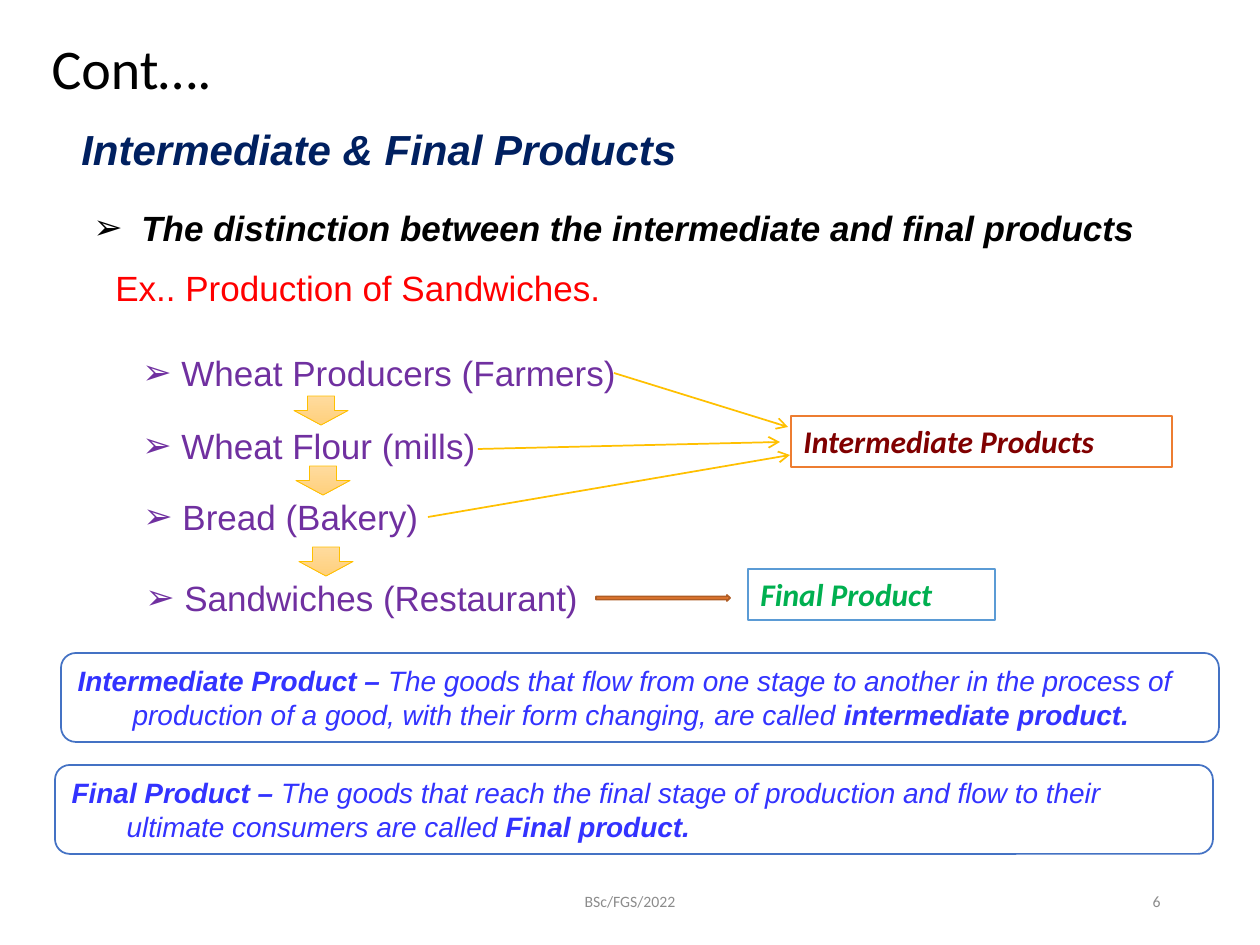
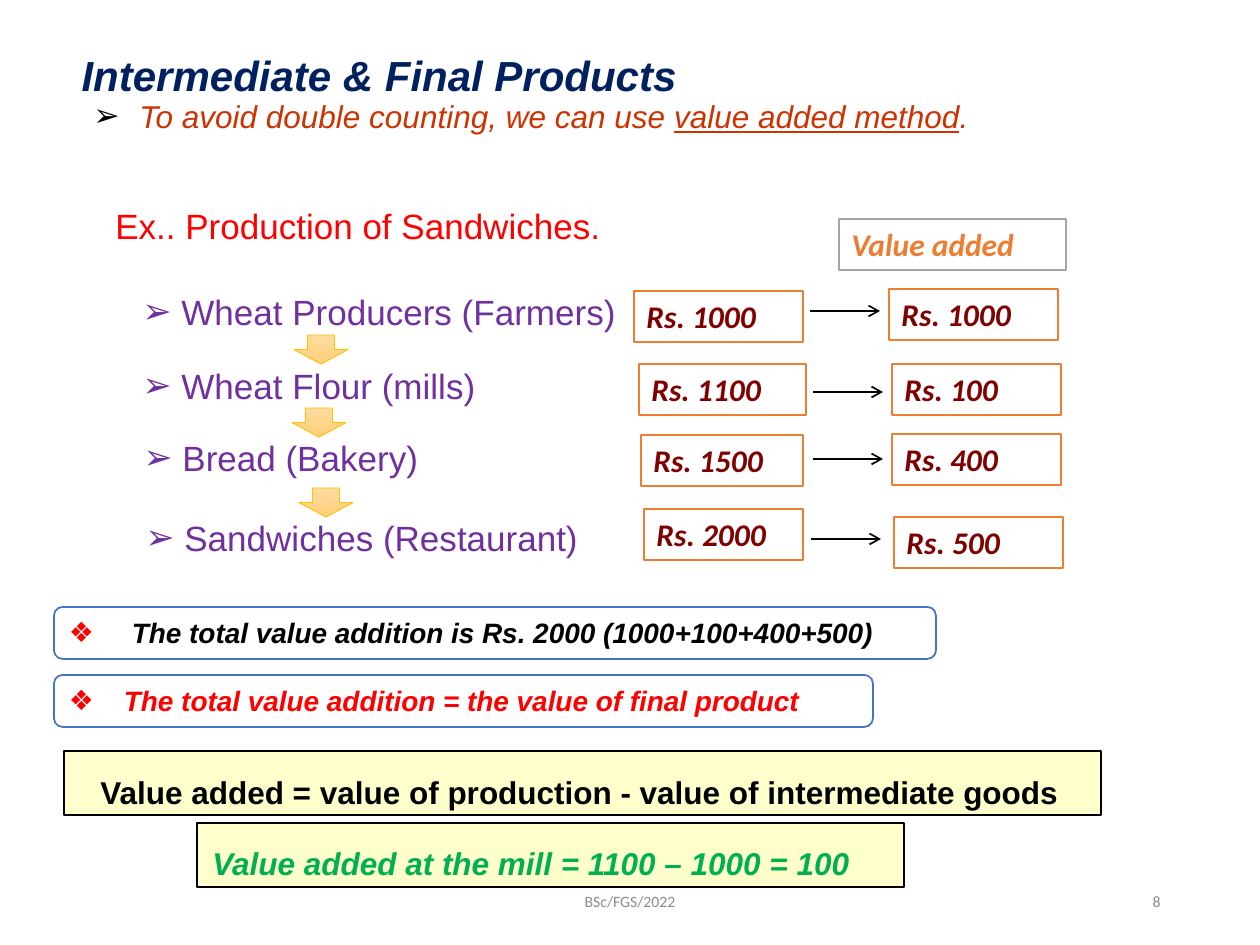
from dataclasses import dataclass
from typing import Any, NamedTuple, Optional

from lxml import etree
from pptx import Presentation
from pptx import util as u
from pptx.dml.color import RGBColor
from pptx.enum import shapes, text
from pptx.oxml import ns

PX_PER_INCH = 126
AL = text.PP_ALIGN
ANCHOR = text.MSO_ANCHOR
SHAPE = shapes.MSO_SHAPE


def px(n: int) -> u.Emu:
    return u.Emu(round(n * 914400 / PX_PER_INCH))


@dataclass(frozen=True)
class Theme:
    black: str = "000000"
    white: str = "FFFFFF"
    navy: str = "002060"
    red: str = "FF0000"
    purple: str = "7030A0"
    rust: str = "CC3300"
    maroon: str = "800000"
    green: str = "00B050"
    indigo: str = "3333FF"
    grey: str = "8C8C8C"
    silver: str = "A5A5A5"
    blue: str = "4472C4"
    sky: str = "5B9BD5"
    orange: str = "ED7D31"
    brown: str = "AF5C24"
    gold: str = "FFC000"
    gold_top: str = "FFDB9E"
    gold_bottom: str = "FFD07C"
    cream: str = "FFFFCC"
    title_size: int = 32
    heading_size: int = 24
    body_size: int = 20
    label_size: int = 18
    note_size: int = 16
    footer_size: int = 9
    body_font: str = "Arial"
    label_font: str = "Calibri"


T = Theme()


class Box(NamedTuple):
    x: int
    y: int
    w: int
    h: int


class Run(NamedTuple):
    text: str
    color: str
    bold: bool = False
    italic: bool = False
    underline: bool = False


@dataclass(frozen=True)
class Style:
    size: int
    font: str = T.body_font
    align: Any = AL.LEFT
    anchor: Any = ANCHOR.TOP
    bullet: str = ""
    bullet_color: str = T.black
    hang: int = 0
    spacing: Optional[float] = None


class Stage(NamedTuple):
    name: str
    x: int


class Sale(NamedTuple):
    price: str
    price_box: Box
    added: str
    added_box: Box
    arrow_x: int
    arrow_y: int


TITLE = Style(T.title_size, T.label_font, anchor=ANCHOR.MIDDLE, spacing=0.9)
HEADING = Style(T.heading_size)
EXAMPLE = Style(T.body_size, align=AL.JUSTIFY)
POINT = Style(T.body_size, align=AL.JUSTIFY, bullet="➢", hang=48)
SMALL_POINT = Style(T.label_size, align=AL.JUSTIFY, bullet="➢", hang=46)
STAGE = Style(T.body_size, align=AL.JUSTIFY, bullet="➢",
              bullet_color=T.purple, hang=39)
LABEL = Style(T.label_size, T.label_font, AL.JUSTIFY)
DEFINITION = Style(T.note_size, hang=55)
TOTAL = Style(T.note_size, bullet="❖", bullet_color=T.red, hang=63)
RESULT = Style(T.note_size, bullet="❖", bullet_color=T.red, hang=55)
FORMULA = Style(T.label_size)

HEADING_RUN = Run("Intermediate & Final Products", T.navy, True, True)
STAGES = [Stage("Wheat Producers (Farmers)", 130), Stage("Wheat Flour (mills)", 130),
          Stage("Bread (Bakery)", 131), Stage("Sandwiches (Restaurant)", 133)]


# Text
def rgb(color: str) -> RGBColor:
    return RGBColor.from_string(color)


def write(sp: Any, style: Style, *runs: Run) -> None:
    tf = sp.text_frame
    tf.word_wrap = True
    tf.auto_size = text.MSO_AUTO_SIZE.NONE
    tf.vertical_anchor = style.anchor
    p = tf.paragraphs[0]
    p.alignment = style.align
    if style.spacing:
        p.line_spacing = style.spacing
    if style.hang:
        pPr = p._p.get_or_add_pPr()
        pPr.set("marL", str(px(style.hang)))
        pPr.set("indent", str(-px(style.hang)))
        if style.bullet:
            clr = etree.SubElement(pPr, ns.qn("a:buClr"))
            etree.SubElement(clr, ns.qn("a:srgbClr"), val=style.bullet_color)
            etree.SubElement(pPr, ns.qn("a:buFont"), typeface=T.body_font)
            etree.SubElement(pPr, ns.qn("a:buChar"), char=style.bullet)
    for run in runs:
        r = p.add_run()
        r.text = run.text
        f = r.font
        f.name, f.size = style.font, u.Pt(style.size)
        f.bold, f.italic, f.underline = run.bold, run.italic, run.underline
        f.color.rgb = rgb(run.color)


def textbox(s: Any, box: Box, style: Style, *runs: Run) -> None:
    write(s.shapes.add_textbox(*map(px, box)), style, *runs)


def title(s: Any, box: Box, style: Style, run: Run) -> None:
    sp = s.shapes.title
    sp.left, sp.top, sp.width, sp.height = map(px, box)
    write(sp, style, run)


# Shapes
def shape(s: Any, kind: Any, box: Box, line: str, fill: str = T.white,
          width: float = 1) -> Any:
    sp = s.shapes.add_shape(kind, *map(px, box))
    sp.shadow.inherit = False
    sp.fill.solid()
    sp.fill.fore_color.rgb = rgb(fill)
    sp.line.color.rgb = rgb(line)
    sp.line.width = u.Pt(width)
    return sp


def label(s: Any, box: Box, line: str, caption: str, color: str) -> None:
    write(shape(s, SHAPE.RECTANGLE, box, line), LABEL, Run(caption, color, True, True))


def note(s: Any, box: Box, style: Style, *runs: Run) -> None:
    write(shape(s, SHAPE.ROUNDED_RECTANGLE, box, T.blue), style, *runs)


def arrow(s: Any, x1: int, y1: int, x2: int, y2: int, color: str) -> None:
    c = s.shapes.add_connector(shapes.MSO_CONNECTOR.STRAIGHT,
                               *map(px, (x1, y1, x2, y2)))
    c.line.color.rgb = rgb(color)
    c.line.width = u.Pt(1)
    etree.SubElement(c.line._get_or_add_ln(), ns.qn("a:tailEnd"), type="arrow")
    etree.SubElement(c._element.spPr, ns.qn("a:effectLst"))


def down_arrow(s: Any, x: int, y: int) -> None:
    sp = shape(s, SHAPE.DOWN_ARROW, Box(x, y, 54, 29), T.gold, width=0.5)
    sp.fill.gradient()
    sp.fill.gradient_angle = 270
    for stop, color in zip(sp.fill.gradient_stops, (T.gold_top, T.gold_bottom)):
        stop.color.rgb = rgb(color)


def formula(s: Any, frame: Box, caption: Box, run: Run) -> None:
    g = s.shapes.add_group_shape()
    shape(g, SHAPE.RECTANGLE, frame, T.black, T.cream, 0.75)
    textbox(g, caption, FORMULA, run)


# Parts that both slides share
def production_chain(s: Any, example_y: int, tops: list[int],
                     arrows: list[tuple[int, int]]) -> None:
    textbox(s, Box(103, example_y, 544, 55), EXAMPLE,
            Run("Ex.. Production of Sandwiches.", T.red))
    for stage, y in zip(STAGES, tops):
        textbox(s, Box(stage.x, y, 559, 55), STAGE, Run(stage.name, T.purple))
    for x, y in arrows:
        down_arrow(s, x, y)


def footer(s: Any, number: int) -> None:
    for caption, x, w, align in (("BSc/FGS/2022", 417, 426, AL.CENTER),
                                 (str(number), 890, 283, AL.RIGHT)):
        style = Style(T.footer_size, T.label_font, align, ANCHOR.MIDDLE)
        textbox(s, Box(x, 876, w, 50), style, Run(caption, T.grey))


# Slide: intermediate and final products
def products_slide(prs: Any) -> None:
    s = prs.slides.add_slide(prs.slide_layouts[5])
    title(s, Box(39, 18, 1178, 106), TITLE, Run("Cont….", T.black))
    textbox(s, Box(69, 117, 733, 63), HEADING, HEADING_RUN)
    textbox(s, Box(81, 200, 1084, 55), POINT,
            Run("The distinction between the intermediate and final products",
                T.black, True, True))
    production_chain(s, 260, [345, 418, 489, 570], [(294, 396), (296, 466), (299, 547)])

    shape(s, SHAPE.RIGHT_ARROW, Box(596, 595, 134, 6), T.brown, T.orange)
    label(s, Box(748, 569, 247, 51), T.sky, "Final Product", T.green)
    label(s, Box(791, 416, 381, 51), T.orange, "Intermediate Products", T.maroon)
    for line in ((614, 373, 788, 427), (478, 449, 780, 442), (428, 517, 790, 455)):
        arrow(s, *line, T.gold)

    definitions = [
        (Box(61, 653, 1158, 89), "Intermediate Product – ",
         "The goods that flow from one stage to another in the process of "
         "production of a good, with their form changing, are called ",
         "intermediate product."),
        (Box(55, 765, 1158, 89), "Final Product – ",
         "The goods that reach the final stage of production and flow to their "
         "ultimate consumers are called ", "Final product."),
    ]
    for box, term, meaning, name in definitions:
        note(s, box, DEFINITION, Run(term, T.indigo, True, True),
             Run(meaning, T.indigo, False, True), Run(name, T.indigo, True, True))
    footer(s, 6)


# Slide: value added method
def value_added_slide(prs: Any) -> None:
    s = prs.slides.add_slide(prs.slide_layouts[5])
    title(s, Box(69, 43, 733, 63), HEADING, HEADING_RUN)
    textbox(s, Box(81, 91, 1084, 50), SMALL_POINT,
            Run("To avoid double counting, we can use ", T.rust, italic=True),
            Run("value added method", T.rust, italic=True, underline=True),
            Run(".", T.rust, italic=True))
    production_chain(s, 198, [284, 358, 430, 510], [(294, 335), (292, 408), (299, 488)])

    label(s, Box(839, 219, 227, 51), T.silver, "Value added", T.orange)
    sales = [
        Sale("Rs. 1000", Box(634, 291, 169, 51), "Rs. 1000", Box(889, 289, 169, 51), 810, 311),
        Sale("Rs. 1100", Box(639, 364, 167, 51), "Rs. 100", Box(892, 364, 169, 51), 813, 392),
        Sale("Rs. 1500", Box(641, 435, 162, 51), "Rs. 400", Box(892, 434, 169, 51), 813, 459),
        Sale("Rs. 2000", Box(644, 509, 159, 51), "Rs. 500", Box(894, 517, 169, 51), 811, 539),
    ]
    for sale in sales:
        label(s, sale.price_box, T.orange, sale.price, T.maroon)
        label(s, sale.added_box, T.orange, sale.added, T.maroon)
        arrow(s, sale.arrow_x, sale.arrow_y, sale.arrow_x + 70, sale.arrow_y, T.black)

    note(s, Box(54, 607, 882, 52), TOTAL,
         Run("The total value addition is Rs. 2000 (1000+100+400+500)", T.black, True, True))
    note(s, Box(54, 675, 819, 52), RESULT,
         Run("The total value addition = the value of final product", T.red, True, True))
    formula(s, Box(64, 751, 1037, 64), Box(88, 767, 987, 50),
            Run("Value added = value of production - value of intermediate goods",
                T.black, True))
    formula(s, Box(197, 823, 707, 64), Box(200, 838, 672, 50),
            Run("Value added at the mill = 1100 – 1000 = 100", T.green, True, True))
    footer(s, 8)


def main() -> None:
    prs = Presentation()
    prs.slide_width, prs.slide_height = px(1260), px(945)
    products_slide(prs)
    value_added_slide(prs)
    prs.save("out.pptx")


if __name__ == "__main__":
    main()
